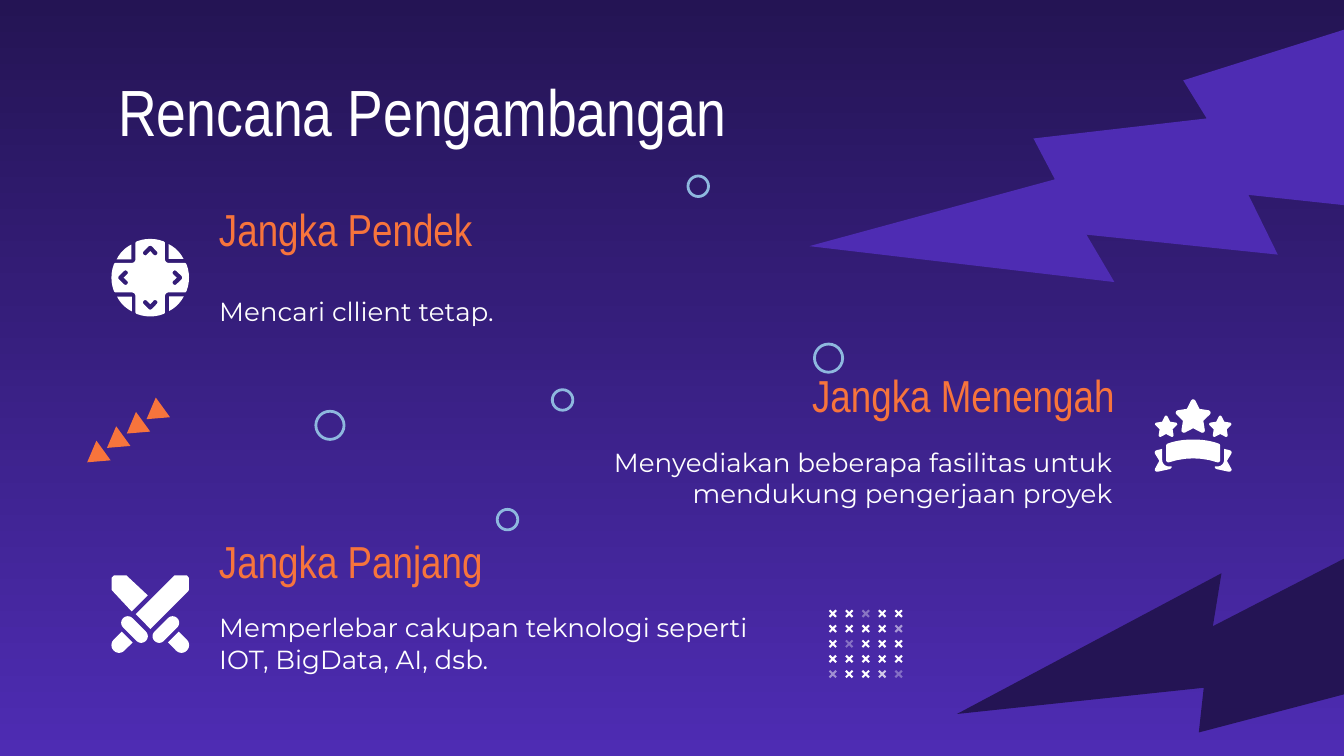
"""Build the development plan slide with three horizons, icons and decorations."""
import math
from dataclasses import dataclass
from typing import Any

import lxml.etree
import pptx
import pptx.dml.color
import pptx.enum.shapes
import pptx.enum.text
import pptx.oxml.ns
import pptx.util

Pt = pptx.util.Pt
SHAPE = pptx.enum.shapes.MSO_SHAPE
ALIGN = pptx.enum.text.PP_ALIGN
ANCHOR = pptx.enum.text.MSO_ANCHOR
qn = pptx.oxml.ns.qn
Point = tuple[float, float]
Outline = list[Point]

COLORS = {"night": "241454", "violet": "4E2CB3", "orange": "F7743C", "white": "FFFFFF", "sky": "8EB8DE"}
HEADING_FONT, BODY_FONT = "Arial Narrow", "Montserrat"


@dataclass(frozen=True)
class Box:
    left: float
    top: float
    width: float
    height: float


@dataclass(frozen=True)
class TextStyle:
    font: str
    size: float
    color: str
    align: Any = ALIGN.LEFT
    anchor: Any = ANCHOR.MIDDLE


@dataclass(frozen=True)
class Horizon:
    heading: str
    body: str
    heading_left: float
    body_left: float
    top: float
    align: Any


@dataclass(frozen=True)
class Icon:
    x: float
    y: float
    pieces: list[list[Outline]]


HORIZONS = [
    Horizon("Jangka Pendek", "Mencari cllient tetap.", 110.2, 110.2, 106.6, ALIGN.LEFT),
    Horizon("Jangka Menengah", "Menyediakan beberapa fasilitas untuk mendukung pengerjaan proyek",
            396, 280.1, 195.8, ALIGN.RIGHT),
    Horizon("Jangka Panjang", "Memperlebar cakupan teknologi seperti IOT, BigData, AI, dsb.",
            110.2, 110.2, 284.4, ALIGN.LEFT),
]
RINGS = [(295.9, 208.8, 11), (436.3, 184.3, 15.1), (169.2, 220.3, 15.1), (266.4, 272.9, 11), (368.6, 94.3, 11)]
FADED_CROSSES = {(0, 2): 36, (1, 4): 53, (2, 1): 34, (4, 0): 48, (4, 3): 75, (4, 4): 33}


def rgb(name: str) -> Any:
    return pptx.dml.color.RGBColor.from_string(COLORS[name])


def trace(commands: str, steps: int = 6) -> Outline:
    """Turn M, L and C commands into the points of one outline."""
    points: Outline = []
    for command in commands.replace("M", "|M").replace("L", "|L").replace("C", "|C").split("|")[1:]:
        values = [float(v) for v in command[1:].split()]
        pairs = list(zip(values[::2], values[1::2]))
        if command[0] != "C":
            points += pairs
            continue
        curve = [points[-1], *pairs]
        for t in (i / steps for i in range(1, steps + 1)):
            weights = [math.comb(3, k) * t**k * (1 - t) ** (3 - k) for k in range(4)]
            points.append((sum(w * p[0] for w, p in zip(weights, curve)),
                           sum(w * p[1] for w, p in zip(weights, curve))))
    return points


def mirror(outline: Outline) -> Outline:
    return [(-x, y) for x, y in outline]


def turns(outline: Outline) -> list[Outline]:
    """Give the outline at each quarter turn."""
    result = [outline]
    for _ in range(3):
        result.append([(-y, x) for x, y in result[-1]])
    return result


def star(cx: float, cy: float, radius: float) -> Outline:
    """Give a five-pointed star with rounded tips."""
    corners = [(-7, 0.93), (-3, 0.98), (3, 0.98), (7, 0.93), (36, 0.58)]
    polar = [(math.radians(72 * i - 90 + turn), radius * ratio) for i in range(5) for turn, ratio in corners]
    return [(cx + r * math.cos(a), cy + r * math.sin(a)) for a, r in polar]


def make_icons() -> list[Icon]:
    arm = trace("M-7.9 -18.5 C-7.9 -19 -7.5 -19.3 -7 -19.5 C-2.5 -21.2 2.5 -21.2 7 -19.5 "
                "C7.5 -19.3 7.9 -19 7.9 -18.5 L7.9 -9.9 C7.9 -8.8 8.8 -7.9 9.9 -7.9")
    chevron = trace("M0 -17.1 C0.5 -17.1 0.8 -16.9 1.1 -16.6 L3.6 -14 C4.6 -12.9 3 -11.3 1.9 -12.2 L0 -14.2 "
                    "L-1.9 -12.2 C-3 -11.3 -4.6 -12.9 -3.6 -14 L-1.1 -16.6 C-0.8 -16.9 -0.5 -17.1 0 -17.1")
    wedge = trace("M-10.1 -17.8 C-13.5 -16.1 -16.2 -13.4 -18 -9.9 L-10.1 -9.9")
    pad = [point for quarter in turns(arm) for point in quarter]

    tail = trace("M16.6 7.2 L16.6 13 C16.6 15 15 16.6 13 16.6 L11.6 16.5 L11.6 17.3 L12.4 18 L18.8 19.4 "
                 "C20.2 19.6 21 18.6 20.3 17.6 L18.1 13.6 L20.3 10 C20.9 9.1 20.5 8.2 19.5 7.9")
    banner = trace("M0 2.2 C-5 2.2 -9.3 2.8 -13.5 4.3 C-14.1 4.5 -14.5 5 -14.5 5.8 L-14.5 13 "
                   "C-14.5 14 -13.8 14.6 -12.9 14.4 C-4.5 11.6 4.5 11.6 12.9 14.4 C13.8 14.6 14.5 14 14.5 13 "
                   "L14.5 5.8 C14.5 5 14.1 4.5 13.5 4.3 C9.3 2.8 5 2.2 0 2.2")
    small_star = star(14.5, -4.4, 6.3)

    pommel = trace("M15.3 9.4 L9.5 15.2 L13.8 19.5 C15.5 21.2 18 21.2 19.6 19.5 C21.2 17.9 21.2 15.4 19.6 13.7")
    guard = trace("M9.5 2.2 L2.3 9.4 C0.9 10.8 0.9 13 2.3 14.4 C3.7 15.8 6 15.8 7.3 14.4 L14.5 7.2 "
                  "C15.9 5.8 15.9 3.6 14.5 2.2 C13.1 0.8 10.9 0.8 9.5 2.2")
    rear_blade = trace("M-19.3 -20.8 L-20.7 -19.4 L-20.7 -13 L-20 -12.2 L-9.9 -1.4 L-1.3 -10 "
                       "L-12.1 -20.1 L-12.8 -20.8")
    front_blade = trace("M13.1 -20.8 L12.4 -20.1 L-7.8 0 L0.1 8 L20.3 -12.2 L20.7 -13 L20.7 -19.4 L19.6 -20.8")
    return [
        Icon(80.5, 148.8, [[w] for w in turns(wedge)] + [[pad, *turns(chevron)]]),
        Icon(639.2, 233.3, [[tail], [mirror(tail)], [banner], [star(0, -9.6, 9.9)],
                            [small_star], [mirror(small_star)]]),
        Icon(80.5, 329, [[pommel], [mirror(pommel)], [guard], [mirror(guard)], [rear_blade], [front_blade]]),
    ]


def draw_icon(s: Any, icon: Icon) -> None:
    group = s.shapes.add_group_shape()
    for piece in icon.pieces:
        outlines = [[(Pt(icon.x + x), Pt(icon.y + y)) for x, y in outline] for outline in piece]
        builder = group.shapes.build_freeform(*outlines[0][0], scale=1.0)
        builder.add_line_segments(outlines[0][1:], close=True)
        for outline in outlines[1:]:
            builder.move_to(*outline[0])
            builder.add_line_segments(outline[1:], close=True)
        paint(builder.convert_to_shape(), "white")


def paint(sp: Any, color: str) -> None:
    sp.shadow.inherit = False
    sp.fill.solid()
    sp.fill.fore_color.rgb = rgb(color)
    sp.line.fill.background()


def add_shape(s: Any, kind: Any, box: Box, color: str, rotation: float = 0) -> Any:
    sp = s.shapes.add_shape(kind, *place(box))
    sp.rotation = rotation
    paint(sp, color)
    return sp


def place(box: Box) -> list[Any]:
    return [Pt(v) for v in (box.left, box.top, box.width, box.height)]


def write(sp: Any, box: Box, text: str, style: TextStyle) -> None:
    sp.left, sp.top, sp.width, sp.height = place(box)
    tf = sp.text_frame
    tf.text = text
    tf.word_wrap = True
    tf.auto_size = pptx.enum.text.MSO_AUTO_SIZE.NONE
    tf.vertical_anchor = style.anchor
    tf.margin_left = tf.margin_right = tf.margin_top = tf.margin_bottom = Pt(7.2)
    p = tf.paragraphs[0]
    p.alignment = style.align
    p.space_before = Pt(0)
    pPr = p._p.get_or_add_pPr()
    pPr.set("marL", "0")
    pPr.set("indent", "0")
    lxml.etree.SubElement(pPr, qn("a:buNone"))
    font = p.runs[0].font
    font.name, font.size, font.bold = style.font, Pt(style.size), False
    font.color.rgb = rgb(style.color)


def draw_decorations(s: Any) -> None:
    bolt = add_shape(s, SHAPE.LIGHTNING_BOLT, Box(486.7, -28.1, 265.7, 265.7), "violet", 36.7)
    bolt.element.spPr.find(qn("a:xfrm")).set("flipH", "1")
    add_shape(s, SHAPE.LIGHTNING_BOLT, Box(561.6, 211.7, 259.2, 259.2), "night", 122)
    for row in range(5):
        for col in range(5):
            sp = add_shape(s, SHAPE.CROSS, Box(443.7 + 8.82 * col, 326.2 + 8.1 * row, 5, 5), "white", 315)
            sp.adjustments[0] = 0.39
            if (row, col) in FADED_CROSSES:
                color = next(sp.element.spPr.iter(qn("a:srgbClr")))
                lxml.etree.SubElement(color, qn("a:alpha"), val=str(FADED_CROSSES[row, col] * 1000))
    for i in range(4):
        add_shape(s, SHAPE.ISOSCELES_TRIANGLE, Box(76.4 - 10.6 * i, 216 + 7.7 * i, 13, 10.8), "orange", 234.2)
    for left, top, size in RINGS:
        sp = add_shape(s, SHAPE.OVAL, Box(left, top, size, size), "sky")
        sp.fill.background()
        sp.line.color.rgb = rgb("sky")
        sp.line.width = Pt(1.5)


def main() -> None:
    prs = pptx.Presentation()
    prs.slide_width, prs.slide_height = Pt(720), Pt(405)
    s = prs.slides.add_slide(prs.slide_layouts.get_by_name("Comparison"))
    fill = s.background.fill
    fill.gradient()
    fill.gradient_angle = 270
    for stop, color in zip(fill.gradient_stops, ("night", "violet")):
        stop.color.rgb = rgb(color)

    draw_decorations(s)
    write(s.shapes.title, Box(56.2, 31, 607, 46.1), "Rencana Pengambangan",
          TextStyle(HEADING_FONT, 35, "white", anchor=ANCHOR.TOP))
    *bodies, spare = list(s.placeholders)[1:]
    spare.element.getparent().remove(spare.element)
    for horizon, body in zip(HORIZONS, bodies):
        heading_box = Box(horizon.heading_left, horizon.top, 208.1, 31.7)
        write(s.shapes.add_textbox(*place(heading_box)), heading_box, horizon.heading,
              TextStyle(HEADING_FONT, 24, "orange", horizon.align))
        write(body, Box(horizon.body_left, horizon.top + 32.4, 323.3, 55.4), horizon.body,
              TextStyle(BODY_FONT, 14, "white", horizon.align))
    for icon in make_icons():
        draw_icon(s, icon)
    prs.save("out.pptx")


if __name__ == "__main__":
    main()
